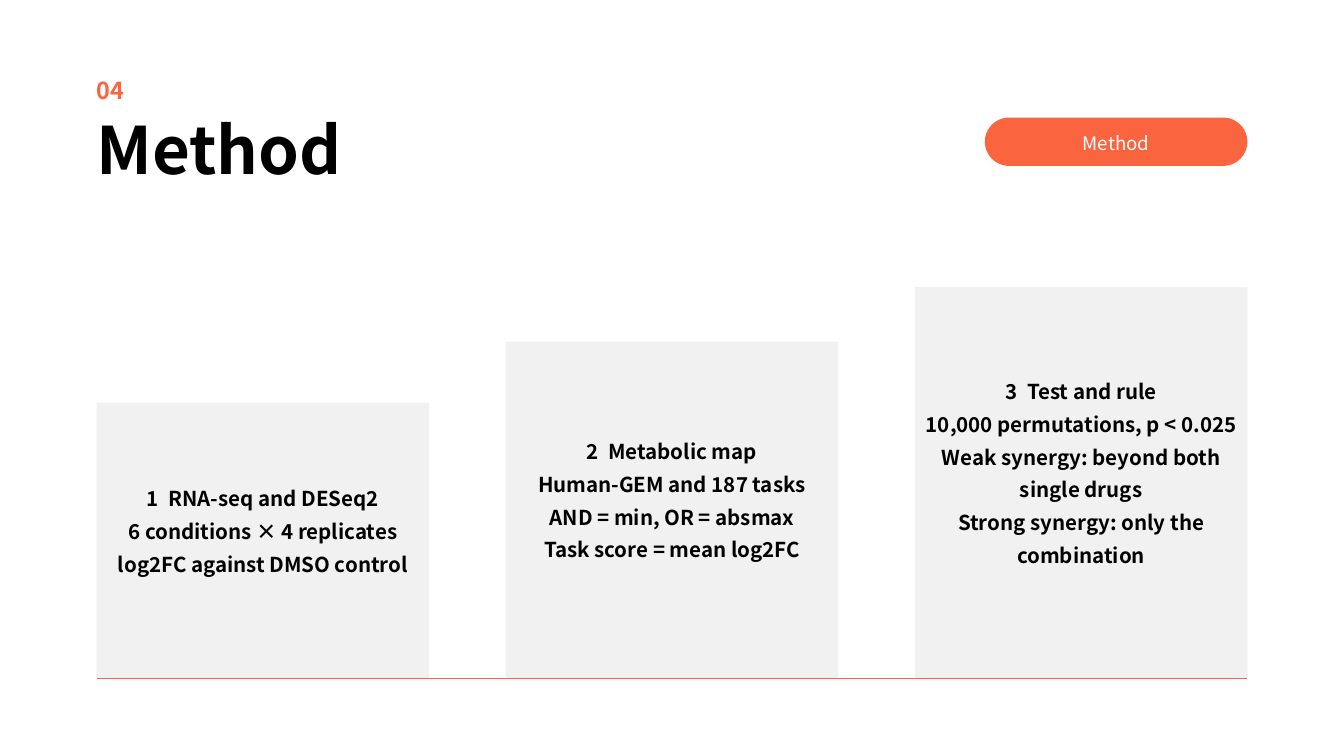
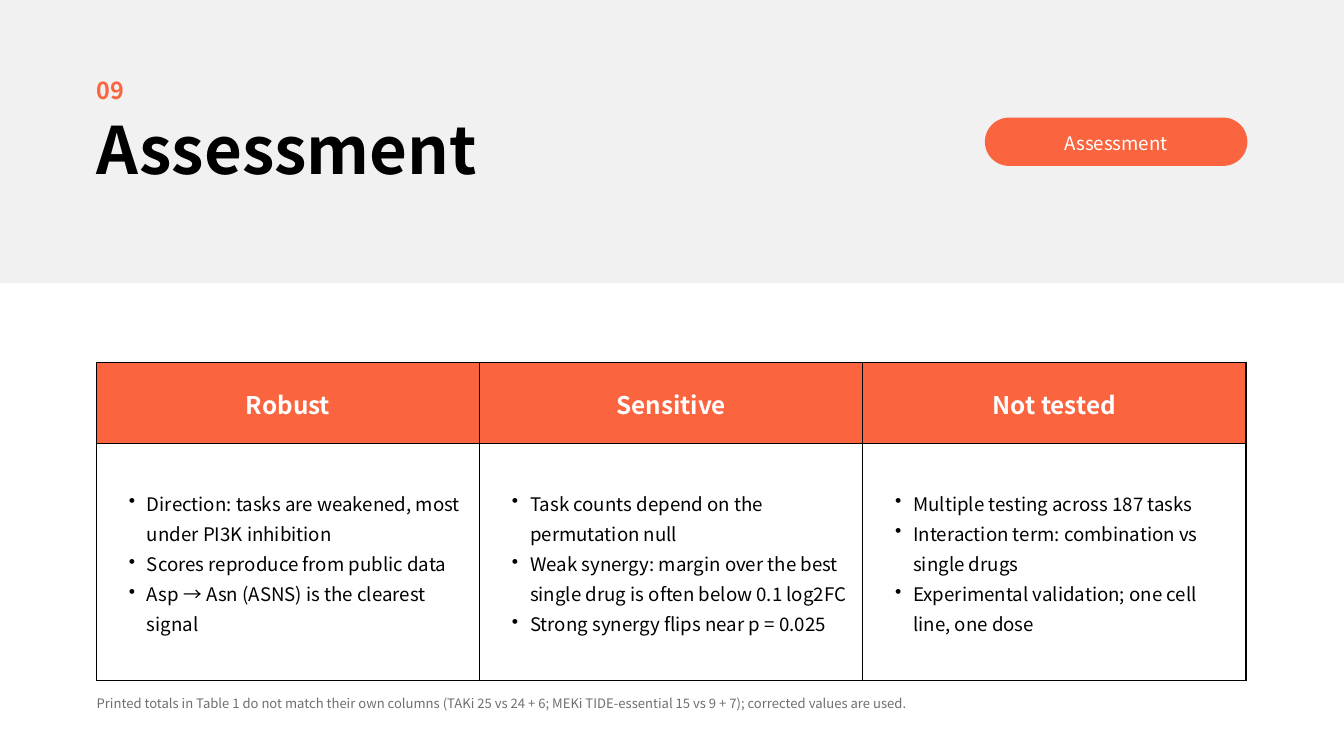
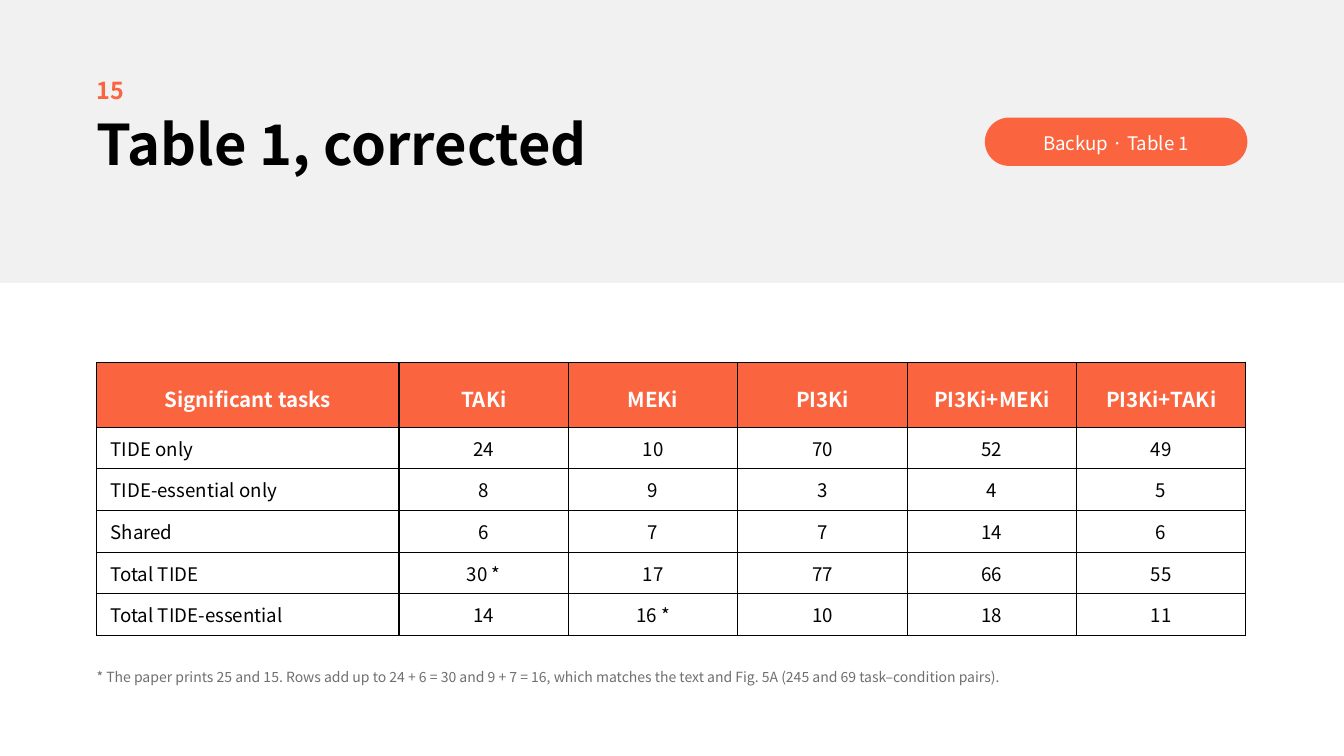
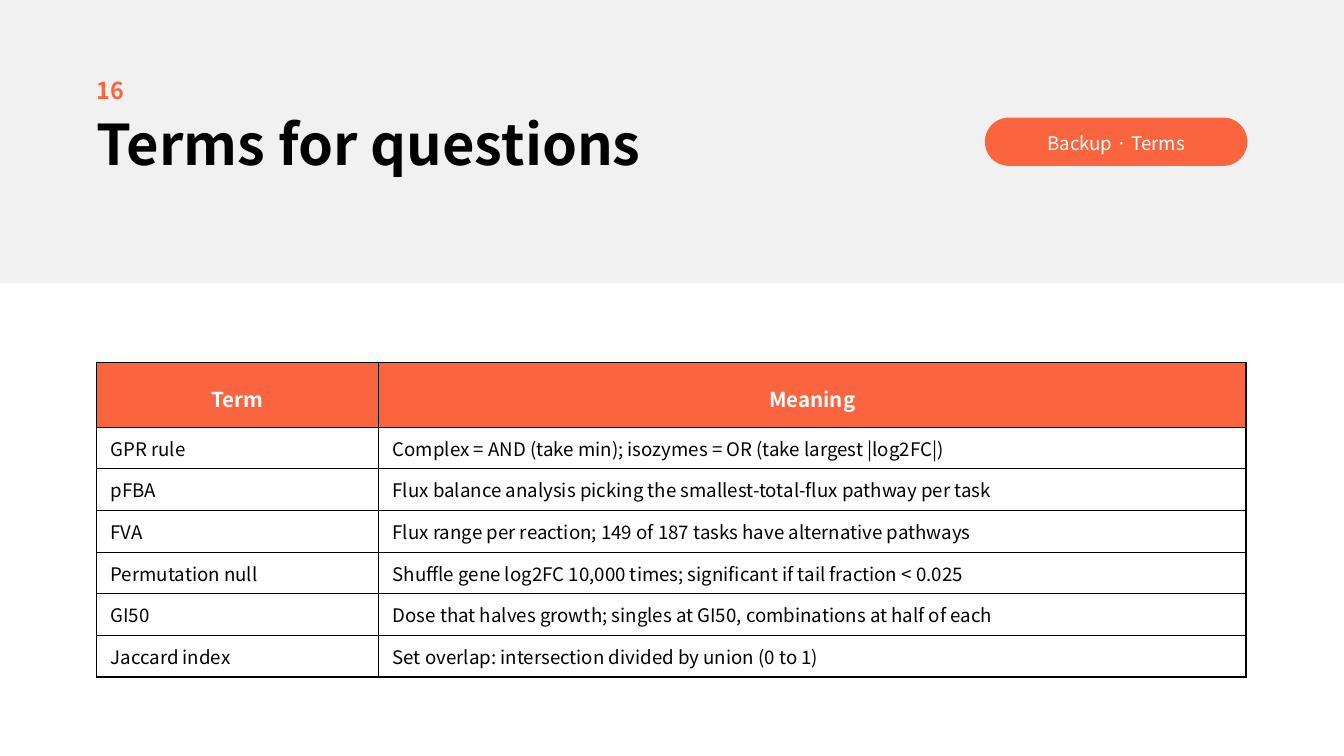
from lxml import etree
from pptx import Presentation
from pptx.dml.color import RGBColor
from pptx.enum.shapes import MSO_CONNECTOR, MSO_SHAPE
from pptx.enum.text import MSO_ANCHOR, MSO_AUTO_SIZE, PP_ALIGN
from pptx.oxml.ns import qn
from pptx.util import Pt

EMU_PER_PX = 9525
SLIDE_W, SLIDE_H = 1920, 1080
LEFT, RIGHT = 138, 1782
TABLE_BOX = (LEFT, 518, 1642, 453)
FONT = "Noto Sans CJK KR"
COLORS = {
    "accent": "FA643F",
    "panel": "F1F1F1",
    "ink": "000000",
    "paper": "FFFFFF",
    "note": "6F6F6F",
}

RECT = MSO_SHAPE.RECTANGLE
ROUNDED = MSO_SHAPE.ROUNDED_RECTANGLE
STRAIGHT = MSO_CONNECTOR.STRAIGHT
TOP, MIDDLE = MSO_ANCHOR.TOP, MSO_ANCHOR.MIDDLE
ALIGN_LEFT, ALIGN_CENTER = PP_ALIGN.LEFT, PP_ALIGN.CENTER
NO_AUTOFIT = MSO_AUTO_SIZE.NONE

STEPS = [
    (575, ["1  RNA-seq and DESeq2", "6 conditions × 4 replicates",
           "log2FC against DMSO control"]),
    (488, ["2  Metabolic map", "Human-GEM and 187 tasks",
           "AND = min, OR = absmax", "Task score = mean log2FC"]),
    (410, ["3  Test and rule", "10,000 permutations, p < 0.025",
           "Weak synergy: beyond both single drugs",
           "Strong synergy: only the combination"]),
]
ASSESSMENT = {
    "Robust": ["Direction: tasks are weakened, most under PI3K inhibition",
               "Scores reproduce from public data",
               "Asp → Asn (ASNS) is the clearest signal"],
    "Sensitive": ["Task counts depend on the permutation null",
                  "Weak synergy: margin over the best single drug is often below 0.1 log2FC",
                  "Strong synergy flips near p = 0.025"],
    "Not tested": ["Multiple testing across 187 tasks",
                   "Interaction term: combination vs single drugs",
                   "Experimental validation; one cell line, one dose"],
}
TASK_COUNTS = [
    ["Significant tasks", "TAKi", "MEKi", "PI3Ki", "PI3Ki+MEKi", "PI3Ki+TAKi"],
    ["TIDE only", "24", "10", "70", "52", "49"],
    ["TIDE-essential only", "8", "9", "3", "4", "5"],
    ["Shared", "6", "7", "7", "14", "6"],
    ["Total TIDE", "30 *", "17", "77", "66", "55"],
    ["Total TIDE-essential", "14", "16 *", "10", "18", "11"],
]
TERMS = [
    ["Term", "Meaning"],
    ["GPR rule", "Complex = AND (take min); isozymes = OR (take largest |log2FC|)"],
    ["pFBA", "Flux balance analysis picking the smallest-total-flux pathway per task"],
    ["FVA", "Flux range per reaction; 149 of 187 tasks have alternative pathways"],
    ["Permutation null", "Shuffle gene log2FC 10,000 times; significant if tail fraction < 0.025"],
    ["GI50", "Dose that halves growth; singles at GI50, combinations at half of each"],
    ["Jaccard index", "Set overlap: intersection divided by union (0 to 1)"],
]


def px(length):
    return round(length * EMU_PER_PX)


def rgb(color):
    return RGBColor.from_string(COLORS[color])


def set_margins(holder, left, top, right, bottom):
    """Set the insets of a text frame or a table cell."""
    holder.margin_left, holder.margin_top = px(left), px(top)
    holder.margin_right, holder.margin_bottom = px(right), px(bottom)


def add_bullet(paragraph):
    properties = paragraph._p.get_or_add_pPr()
    properties.set("marL", str(px(52)))
    properties.set("indent", str(px(-26)))
    etree.SubElement(properties, qn("a:buChar"), char="•")


def write(frame, lines, size, color, bold=False, align=ALIGN_LEFT, spacing=None,
          bulleted=False):
    frame.text = "\n".join(lines)
    for paragraph in frame.paragraphs:
        if bulleted:
            add_bullet(paragraph)
        paragraph.alignment = align
        if spacing:
            paragraph.line_spacing = Pt(spacing)
        for run in paragraph.runs:
            run.font.name = FONT
            run.font.size = Pt(size)
            run.font.bold = bold
            run.font.color.rgb = rgb(color)
            etree.SubElement(run._r.get_or_add_rPr(), qn("a:ea"), typeface=FONT)


def write_plain(shape, text, size, color, bold=False):
    """Write one text at the top left of a shape, without insets."""
    frame = shape.text_frame
    frame.word_wrap = True
    frame.auto_size = NO_AUTOFIT
    frame.vertical_anchor = TOP
    set_margins(frame, 0, 0, 0, 0)
    write(frame, [text], size, color, bold)


def add_panel(slide, box, color, preset=RECT):
    panel = slide.shapes.add_shape(preset, *map(px, box))
    panel.shadow.inherit = False
    panel.fill.solid()
    panel.fill.fore_color.rgb = rgb(color)
    panel.line.fill.background()
    return panel


def add_text(slide, box, text, size, color, bold=False):
    write_plain(slide.shapes.add_textbox(*map(px, box)), text, size, color, bold)


def add_section_pill(slide, box, section):
    pill = add_panel(slide, box, "accent", ROUNDED)
    pill.adjustments[0] = 0.5
    frame = pill.text_frame
    frame.vertical_anchor = MIDDLE
    set_margins(frame, 0, 0, 0, 3)
    write(frame, [section], 20, "paper", align=ALIGN_CENTER, spacing=28)


def add_titled_slide(deck, number, title, section, title_size, banded=True):
    slide = deck.slides.add_slide(deck.slide_layouts[5])
    heading = slide.shapes.title
    heading.left, heading.top, heading.width, heading.height = map(
        px, (LEFT, 156, 1536, 134))
    write_plain(heading, title, title_size, "ink", bold=True)
    if banded:
        band = add_panel(slide, (0, 0, SLIDE_W, 404), "panel")
        heading.element.addprevious(band.element)
    add_text(slide, (LEFT, 109, 134, 48), number, 25, "accent", bold=True)
    add_section_pill(slide, (RIGHT - 375, 168, 375, 69), section)
    return slide


def add_steps(slide, left, right, bottom):
    """Stand the steps, each taller than the last, on one baseline."""
    width = 475
    pitch = (right - left - width) / (len(STEPS) - 1)
    for index, (top, lines) in enumerate(STEPS):
        step = add_panel(slide, (left + index * pitch, top, width, bottom - top), "panel")
        frame = step.text_frame
        frame.word_wrap = True
        frame.vertical_anchor = MIDDLE
        set_margins(frame, 6, 6, 6, 45)
        write(frame, lines, 22, "ink", bold=True, align=ALIGN_CENTER, spacing=35)
    baseline = slide.shapes.add_connector(
        STRAIGHT, *map(px, (left, bottom - 1, right, bottom - 1)))
    baseline.line.color.rgb = rgb("accent")
    baseline.line.width = Pt(1.5)
    etree.SubElement(baseline._element.spPr, qn("a:effectLst"))


def add_borders(cell):
    properties = cell._tc.get_or_add_tcPr()
    for side in ("lnL", "lnR", "lnT", "lnB"):
        border = etree.SubElement(properties, qn(f"a:{side}"), w=str(Pt(1.5)))
        fill = etree.SubElement(border, qn("a:solidFill"))
        etree.SubElement(fill, qn("a:srgbClr"), val=COLORS["ink"])


def add_grid(slide, box, column_widths, row_heights):
    """Add a bordered table with an accent header row."""
    grid = slide.shapes.add_table(
        len(row_heights), len(column_widths), *map(px, box)).table
    grid.horz_banding = False
    for column, width in zip(grid.columns, column_widths):
        column.width = px(width)
    for row, height in zip(grid.rows, row_heights):
        row.height = px(height)
    for cell in grid.iter_cells():
        add_borders(cell)
        cell.fill.background()
        cell.vertical_anchor = MIDDLE
    for cell in grid.rows[0].cells:
        cell.fill.solid()
        cell.fill.fore_color.rgb = rgb("accent")
    return grid


def write_header(grid, labels, size):
    for cell, label in zip(grid.rows[0].cells, labels):
        set_margins(cell, 20, 20, 20, 20)
        write(cell.text_frame, [label], size, "paper", bold=True,
              align=ALIGN_CENTER, spacing=39.2)


def add_bullet_table(slide, box, topics):
    width = box[2] / len(topics)
    grid = add_grid(slide, box, [width] * len(topics), [116, 338])
    write_header(grid, topics, 26)
    for cell, points in zip(grid.rows[1].cells, topics.values()):
        set_margins(cell, 20, 20, 20, 20)
        write(cell.text_frame, points, 20, "ink", spacing=32.2, bulleted=True)


def add_data_table(slide, box, records, first_width, header_height, value_align):
    """Add a table whose columns after the first share the remaining width."""
    value_columns = len(records[0]) - 1
    widths = [first_width] + [(box[2] - first_width) / value_columns] * value_columns
    heights = [header_height] + [59.5] * (len(records) - 1)
    grid = add_grid(slide, box, widths, heights)
    write_header(grid, records[0], 22)
    for row_index, record in enumerate(records[1:], 1):
        for column_index, value in enumerate(record):
            cell = grid.cell(row_index, column_index)
            set_margins(cell, 20, 5, 20, 5)
            write(cell.text_frame, [value], 20, "ink",
                  align=value_align if column_index else ALIGN_LEFT)


def build_method(deck):
    slide = add_titled_slide(deck, "04", "Method", "Method", 70, banded=False)
    add_steps(slide, LEFT, RIGHT, 970)


def build_assessment(deck):
    slide = add_titled_slide(deck, "09", "Assessment", "Assessment", 70)
    add_bullet_table(slide, TABLE_BOX, ASSESSMENT)
    add_text(slide, (LEFT, 994, 1642, 48),
             "Printed totals in Table 1 do not match their own columns "
             "(TAKi 25 vs 24 + 6; MEKi TIDE-essential 15 vs 9 + 7); "
             "corrected values are used.", 14, "note")


def build_corrected_counts(deck):
    slide = add_titled_slide(deck, "15", "Table 1, corrected", "Backup · Table 1", 60)
    add_data_table(slide, TABLE_BOX, TASK_COUNTS, 432, 82, ALIGN_CENTER)
    add_text(slide, (LEFT, 955, 1642, 58),
             "* The paper prints 25 and 15. Rows add up to 24 + 6 = 30 and 9 + 7 = 16, "
             "which matches the text and Fig. 5A (245 and 69 task–condition pairs).",
             15, "note")


def build_terms(deck):
    slide = add_titled_slide(deck, "16", "Terms for questions", "Backup · Terms", 60)
    add_data_table(slide, TABLE_BOX, TERMS, 403, 77, ALIGN_LEFT)


def main():
    deck = Presentation()
    deck.slide_width, deck.slide_height = px(SLIDE_W), px(SLIDE_H)
    build_method(deck)
    build_assessment(deck)
    build_corrected_counts(deck)
    build_terms(deck)
    deck.save("out.pptx")


if __name__ == "__main__":
    main()
